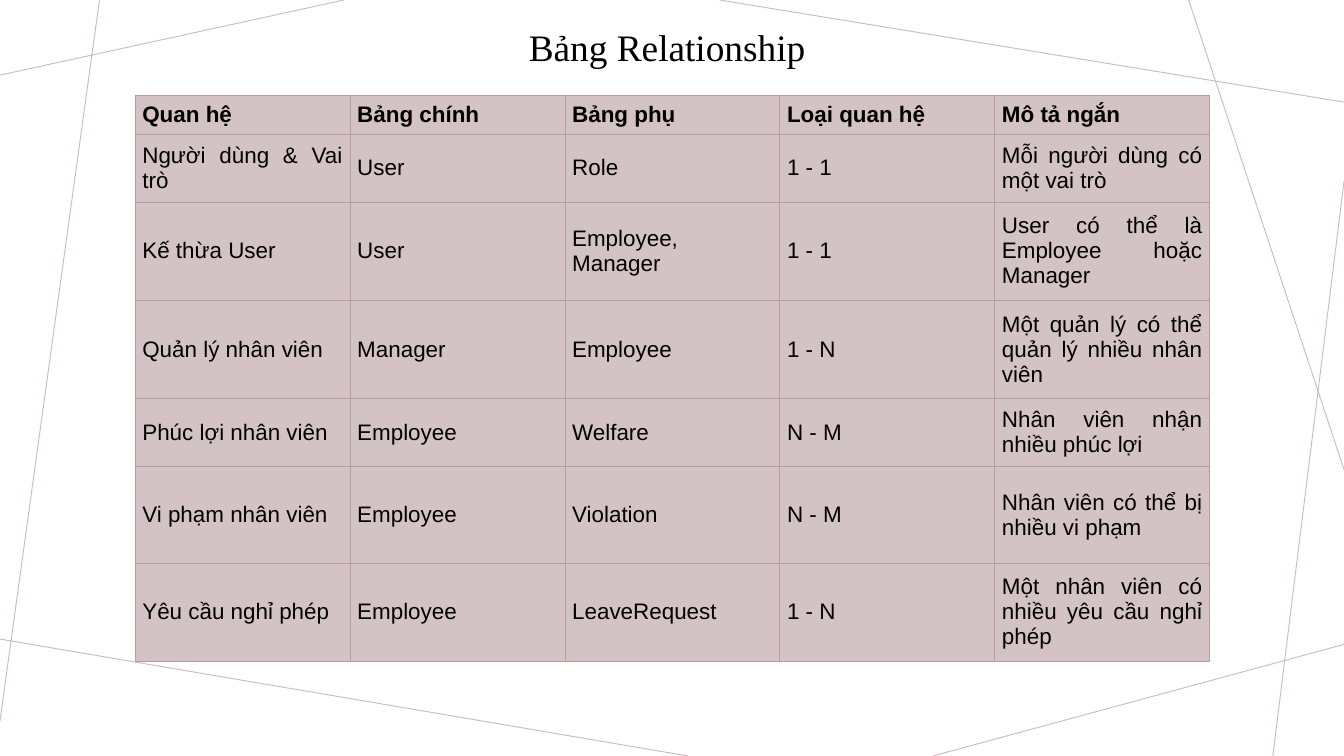
from lxml import etree
from pptx import Presentation
from pptx.dml.color import RGBColor
from pptx.enum.shapes import MSO_CONNECTOR
from pptx.enum.text import MSO_ANCHOR, MSO_AUTO_SIZE, PP_ALIGN
from pptx.oxml import parse_xml
from pptx.oxml.ns import nsdecls, qn
from pptx.util import Cm, Pt

STRAIGHT = MSO_CONNECTOR.STRAIGHT
MIDDLE = MSO_ANCHOR.MIDDLE
FIT_SHAPE = MSO_AUTO_SIZE.SHAPE_TO_FIT_TEXT
CENTER, JUSTIFY = PP_ALIGN.CENTER, PP_ALIGN.JUSTIFY

COLORS = {"background": "FFFFFF", "rule": "BA9CA0", "cell": "D3C3C4", "text": "000000"}
SLIDE_WIDTH, SLIDE_HEIGHT = 50.8, 28.58

RELATIONSHIPS = [
    ("Quan hệ", "Bảng chính", "Bảng phụ", "Loại quan hệ", "Mô tả ngắn"),
    ("Người dùng & Vai trò", "User", "Role", "1 - 1", "Mỗi người dùng có một vai trò"),
    ("Kế thừa User", "User", "Employee, Manager", "1 - 1",
     "User có thể là Employee hoặc Manager"),
    ("Quản lý nhân viên", "Manager", "Employee", "1 - N",
     "Một quản lý có thể quản lý nhiều nhân viên"),
    ("Phúc lợi nhân viên", "Employee", "Welfare", "N - M", "Nhân viên nhận nhiều phúc lợi"),
    ("Vi phạm nhân viên", "Employee", "Violation", "N - M",
     "Nhân viên có thể bị nhiều vi phạm"),
    ("Yêu cầu nghỉ phép", "Employee", "LeaveRequest", "1 - N",
     "Một nhân viên có nhiều yêu cầu nghỉ phép"),
]
ROW_HEIGHTS = [1.45, 2.57, 3.71, 3.71, 2.57, 3.63, 3.71]


def color(name):
    return RGBColor.from_string(COLORS[name])


def add_run(paragraph, text, font_name, size, bold=False):
    run = paragraph.add_run()
    run.text = text
    run.font.name = font_name
    run.font.size = Pt(size)
    run.font.bold = bold
    run.font.color.rgb = color("text")


def add_background_lines(slide, left, top, width, height):
    right, bottom = left + width, top + height
    ends = [
        (left + 13, top, left, top + 2.84),
        (left + 3.76, top, left, top + 27.25),
        (left + 26.01, bottom, left, top + 24.16),
        (right, top + 24.36, left + 35.26, bottom),
        (right, top + 6.86, left + 48.11, bottom),
        (right, top + 17.75, left + 44.93, top),
        (right, top + 3.86, left + 27.2, top),
    ]
    for points in ends:
        line = slide.shapes.add_connector(STRAIGHT, *map(Cm, points))
        line.line.color.rgb = color("rule")
        line.line.width = Pt(1)
        tint = line.line._ln.find(".//" + qn("a:srgbClr"))
        etree.SubElement(tint, qn("a:alpha"), val="70000")
        etree.SubElement(line._element.spPr, qn("a:effectLst"))


def add_title(slide, left, top, width, height):
    title = slide.shapes.add_textbox(Cm(left), Cm(top), Cm(width), Cm(height))
    frame = title.text_frame
    frame.word_wrap = False
    frame.auto_size = FIT_SHAPE
    heading = frame.paragraphs[0]
    heading.alignment = CENTER
    add_run(heading, "Bảng Relationship", "Times New Roman", 40)


def add_borders(cell):
    properties = cell._tc.get_or_add_tcPr()
    for position, side in enumerate("LRTB"):
        properties.insert(position, parse_xml(
            f'<a:ln{side} {nsdecls("a")} w="{Pt(0.5)}"><a:solidFill>'
            f'<a:srgbClr val="{COLORS["rule"]}"/></a:solidFill></a:ln{side}>'))


def add_relationship_table(slide, left, top, width, height):
    columns = len(RELATIONSHIPS[0])
    table = slide.shapes.add_table(
        len(RELATIONSHIPS), columns, Cm(left), Cm(top), Cm(width), Cm(height)).table
    for column in table.columns:
        column.width = Cm(width / columns)
    for row, row_height in zip(table.rows, ROW_HEIGHTS):
        row.height = Cm(height * row_height / sum(ROW_HEIGHTS))
    for row_number, entries in enumerate(RELATIONSHIPS):
        for column_number, entry in enumerate(entries):
            cell = table.cell(row_number, column_number)
            cell.fill.solid()
            cell.fill.fore_color.rgb = color("cell")
            cell.vertical_anchor = MIDDLE
            cell.margin_left = cell.margin_right = Cm(0.28)
            cell.margin_top = cell.margin_bottom = Cm(0.15)
            paragraph = cell.text_frame.paragraphs[0]
            paragraph.alignment = JUSTIFY
            add_run(paragraph, entry, "Arial", 24, bold=row_number == 0)
            add_borders(cell)


def main():
    presentation = Presentation()
    presentation.slide_width = Cm(SLIDE_WIDTH)
    presentation.slide_height = Cm(SLIDE_HEIGHT)
    slide = presentation.slides.add_slide(presentation.slide_layouts[6])
    slide.background.fill.solid()
    slide.background.fill.fore_color.rgb = color("background")
    add_background_lines(slide, 0, 0, SLIDE_WIDTH, SLIDE_HEIGHT)
    add_relationship_table(slide, 5.1, 3.61, 40.62, 21.39)
    add_title(slide, 19.5, 0.79, 11.43, 1.96)
    presentation.save("out.pptx")


if __name__ == "__main__":
    main()
